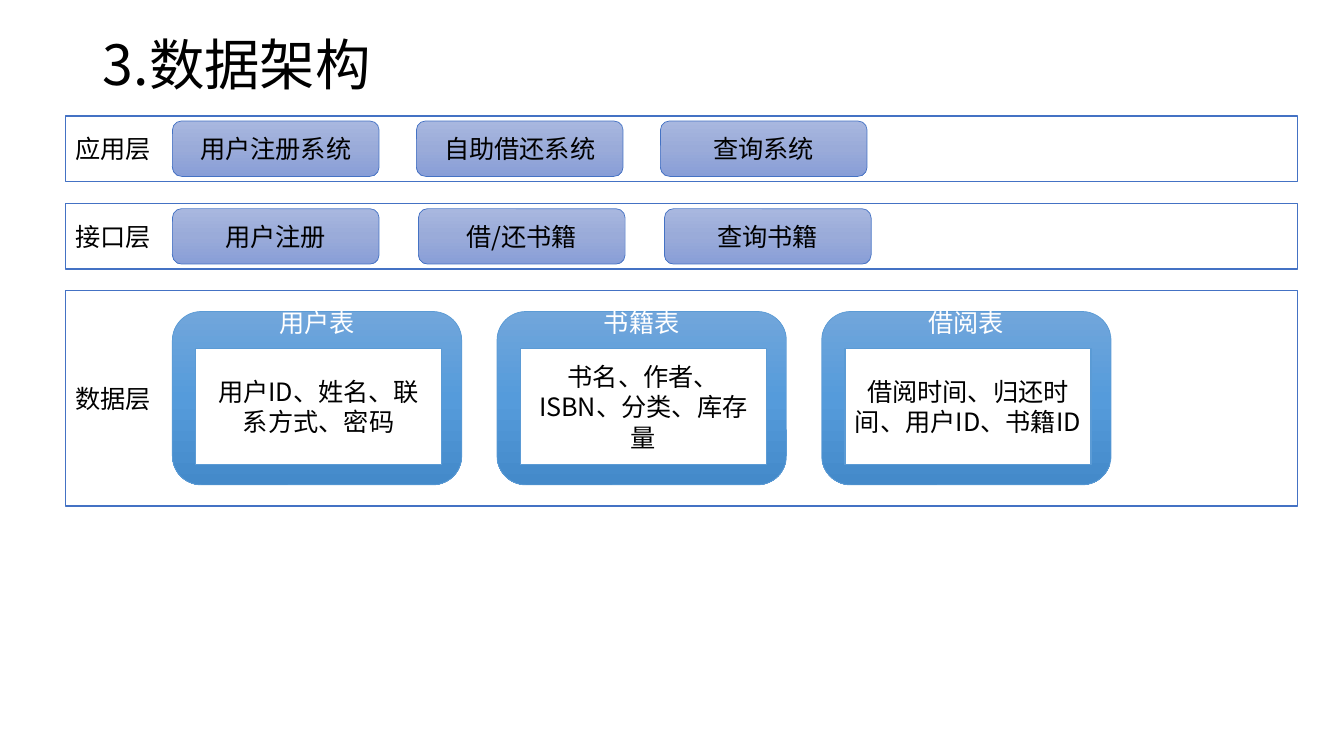
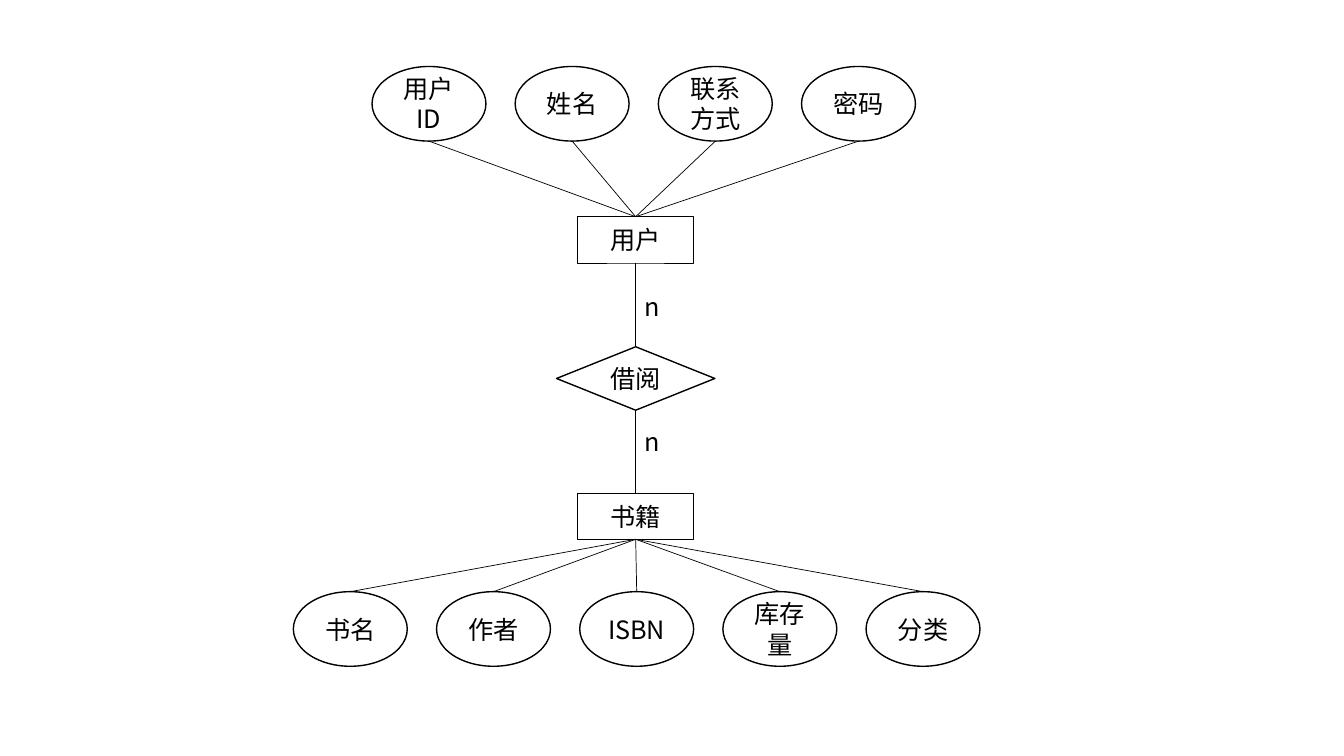
from copy import deepcopy

from lxml import etree
from pptx import Presentation
from pptx.dml.color import RGBColor
from pptx.enum.shapes import MSO_CONNECTOR, MSO_SHAPE
from pptx.enum.text import MSO_ANCHOR, MSO_AUTO_SIZE, PP_ALIGN
from pptx.oxml.ns import qn
from pptx.util import Inches, Pt

RECTANGLE = MSO_SHAPE.RECTANGLE
ROUNDED = MSO_SHAPE.ROUNDED_RECTANGLE
ELLIPSE = MSO_SHAPE.OVAL
DIAMOND = MSO_SHAPE.DIAMOND
STRAIGHT = MSO_CONNECTOR.STRAIGHT
LEFT, CENTER = PP_ALIGN.LEFT, PP_ALIGN.CENTER
MIDDLE = MSO_ANCHOR.MIDDLE
FIT_SHAPE = MSO_AUTO_SIZE.SHAPE_TO_FIT_TEXT
TOP, BOTTOM = 0, 2

FONT = "Noto Sans CJK SC"
BLACK, WHITE = "000000", "FFFFFF"
INDIGO, BLUE = "4472C4", "5B9BD5"
INDIGO_GRADIENT = ("A8B7DF", "9AABD9", "889ED7")
BLUE_GRADIENT = ("71A6DB", "559BDB", "448ACA")
TITLE_ONLY, BLANK = 5, 6


def rgb(color):
    return RGBColor.from_string(color)


class SlideBuilder:
    def __init__(self, deck):
        self.deck = deck
        self.page = None

    def start_page(self, layout):
        self.page = self.deck.slides.add_slide(self.deck.slide_layouts[layout])

    def set_text(self, shape, text, size=18, color=BLACK, align=CENTER):
        shape.text_frame.text = text
        para = shape.text_frame.paragraphs[0]
        para.alignment = align
        for span in para.runs:
            span.font.size = Pt(size)
            span.font.color.rgb = rgb(color)
            span.font.name = FONT
            east_asian = etree.SubElement(span.font._element, qn("a:ea"))
            east_asian.set("typeface", FONT)

    def title(self, text):
        title = self.page.shapes.title
        title.left, title.top = Inches(0.92), Inches(0.4)
        title.width, title.height = Inches(11.62), Inches(0.54)
        self.set_text(title, text, size=39.6, align=LEFT)
        title.text_frame.vertical_anchor = MIDDLE
        title.text_frame.paragraphs[0].line_spacing = 0.9

    def shade(self, shape, colors):
        shape.fill.gradient()
        shape.fill.gradient_angle = 270
        stop_list = shape._element.spPr.find(qn("a:gradFill")).find(qn("a:gsLst"))
        stop_list.insert(1, deepcopy(stop_list[0]))
        for stop, position, color in zip(shape.fill.gradient_stops, (0, 0.5, 1), colors):
            stop.position = position
            stop.color.rgb = rgb(color)

    def box(self, kind, left, top, width, height, text, outline=BLACK,
            weight=1, gradient=None, color=BLACK, align=CENTER):
        box = self.page.shapes.add_shape(
            kind, Inches(left), Inches(top), Inches(width), Inches(height))
        box.shadow.inherit = False
        if gradient:
            self.shade(box, gradient)
        else:
            box.fill.solid()
            box.fill.fore_color.rgb = rgb(WHITE)
        box.line.color.rgb = rgb(outline)
        box.line.width = Pt(weight)
        box.text_frame.vertical_anchor = MIDDLE
        self.set_text(box, text, color=color, align=align)
        return box

    def layer(self, top, height, name):
        self.box(RECTANGLE, 0.65, top, 12.22, height, name, INDIGO, align=LEFT)

    def buttons(self, top, pitch, names):
        for index, name in enumerate(names):
            self.box(ROUNDED, 1.71 + index * pitch, top, 2.05, 0.55, name,
                     INDIGO, 0.5, INDIGO_GRADIENT)

    def data_table(self, left, name, fields):
        card = self.box(ROUNDED, left, 3.09, 2.87, 1.72, name,
                        BLUE, 0.5, BLUE_GRADIENT, WHITE)
        card.text_frame.margin_top = 0
        card.text_frame.margin_bottom = Inches(1.5)
        self.box(RECTANGLE, left + 0.23, 3.46, 2.44, 1.15, fields, BLUE)

    def entity(self, top, name):
        return self.box(RECTANGLE, 5.73, top, 1.15, 0.46, name, weight=0.5)

    def connector(self, start, end, start_site, end_site):
        line = self.page.shapes.add_connector(
            STRAIGHT, start.left + start.width // 2,
            start.top + (start.height if start_site == BOTTOM else 0), 0, 0)
        if start.auto_shape_type != ELLIPSE or start_site == TOP:
            line.begin_connect(start, start_site)
        line.end_connect(end, end_site)
        line.line.color.rgb = rgb(BLACK)
        line.line.width = Pt(0.5)
        etree.SubElement(line._element.spPr, qn("a:effectLst"))

    def attributes(self, entity, first_left, top, names, start_site, end_site):
        for index, name in enumerate(names):
            oval = self.box(ELLIPSE, first_left + index * 1.42, top, 1.13, 0.74, name)
            self.connector(oval, entity, start_site, end_site)

    def label(self, left, top, text):
        label = self.page.shapes.add_textbox(
            Inches(left), Inches(top), Inches(0.34), Inches(0.4))
        label.text_frame.word_wrap = False
        label.text_frame.auto_size = FIT_SHAPE
        self.set_text(label, text, align=LEFT)


def build_architecture(builder):
    builder.start_page(TITLE_ONLY)
    builder.title("3.数据架构")
    builder.layer(1.15, 0.65, "应用层")
    builder.buttons(1.2, 2.42, ("用户注册系统", "自助借还系统", "查询系统"))
    builder.layer(2.02, 0.65, "接口层")
    builder.buttons(2.07, 2.44, ("用户注册", "借/还书籍", "查询书籍"))
    builder.layer(2.88, 2.14, "数据层")
    tables = (
        ("用户表", "用户ID、姓名、联系方式、密码"),
        ("书籍表", "书名、作者、ISBN、分类、库存量"),
        ("借阅表", "借阅时间、归还时间、用户ID、书籍ID"),
    )
    for index, (name, fields) in enumerate(tables):
        builder.data_table(1.71 + index * 3.22, name, fields)


def build_entity_diagram(builder):
    builder.start_page(BLANK)
    user = builder.entity(2.15, "用户")
    book = builder.entity(4.89, "书籍")
    builder.attributes(user, 3.69, 0.66, ("用户ID", "姓名", "联系方式", "密码"),
                       BOTTOM, TOP)
    builder.attributes(book, 2.91, 5.87, ("书名", "作者", "ISBN", "库存量", "分类"),
                       TOP, BOTTOM)
    borrowing = builder.box(DIAMOND, 5.52, 3.44, 1.57, 0.63, "借阅")
    builder.connector(user, borrowing, BOTTOM, TOP)
    builder.connector(borrowing, book, BOTTOM, TOP)
    for top in (2.84, 4.18):
        builder.label(6.29, top, "n")


def main():
    deck = Presentation()
    deck.slide_width, deck.slide_height = Inches(13.33), Inches(7.5)
    builder = SlideBuilder(deck)
    build_architecture(builder)
    build_entity_diagram(builder)
    deck.save("out.pptx")


if __name__ == "__main__":
    main()
